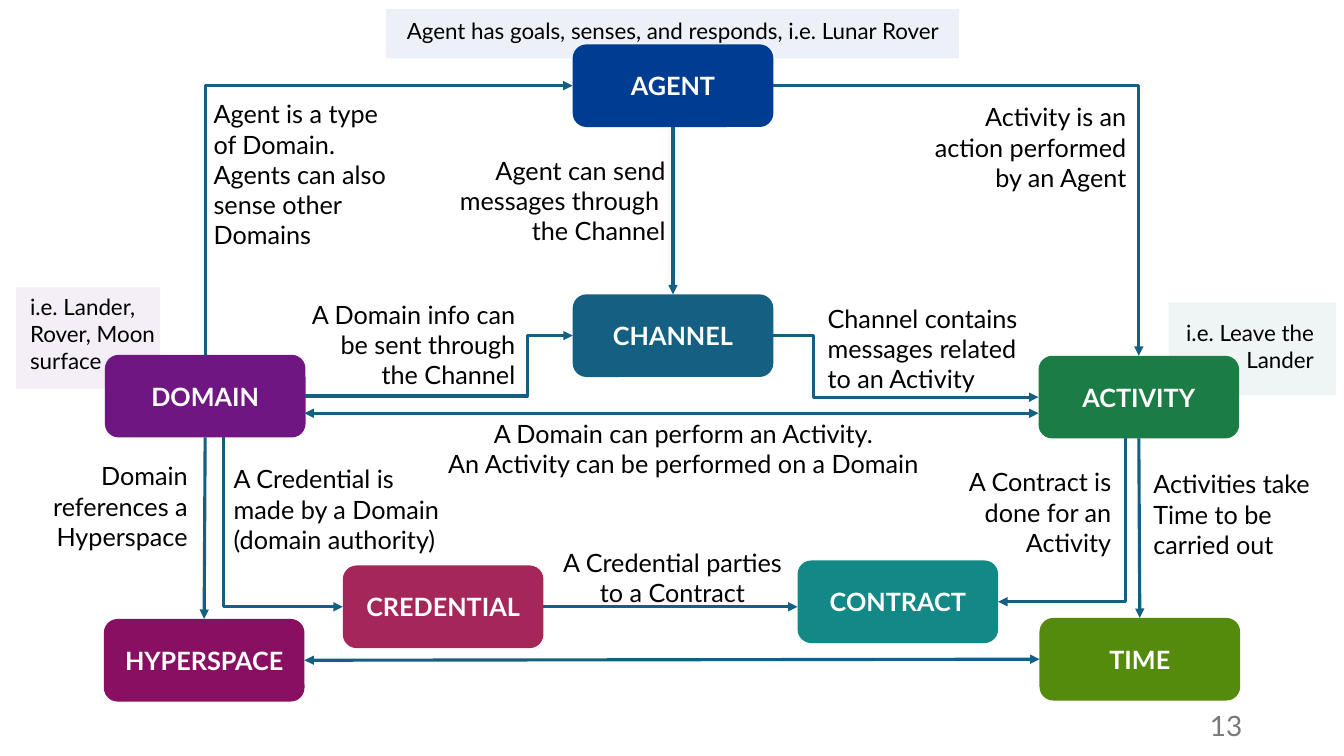
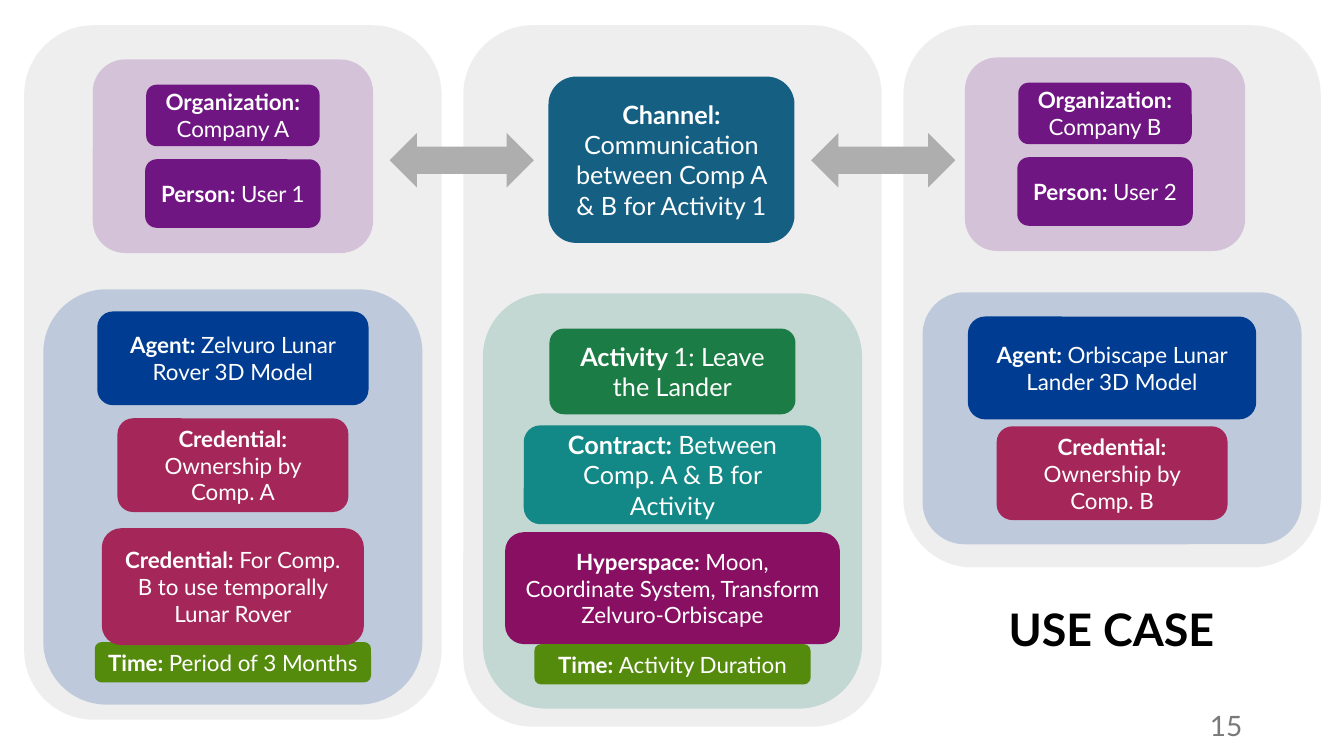
"""Build two slides: a domain relationship map and a lunar use case."""
from lxml.etree import SubElement
from pptx import Presentation
from pptx.dml.color import RGBColor
from pptx.enum.shapes import MSO_CONNECTOR, MSO_SHAPE
from pptx.enum.text import MSO_ANCHOR, MSO_AUTO_SIZE, PP_ALIGN
from pptx.oxml.ns import qn
from pptx.util import Inches, Pt

FONT = "Lato"
BLACK, WHITE, GRAY, NUMBER_GRAY = "000000", "FFFFFF", "AEAEAE", "797979"
PURPLE, BLUE, TEAL, GREEN = "701682", "003D92", "156082", "1C7C45"
LIME, SEA, PLUM, CRIMSON, MINT = "558B0D", "128986", "890F63", "A5275A", "1B7D6A"
LEFT, CENTER, RIGHT = PP_ALIGN.LEFT, PP_ALIGN.CENTER, PP_ALIGN.RIGHT
TOP_SIDE, LEFT_SIDE, BOTTOM_SIDE, RIGHT_SIDE = range(4)

NODE_SIZE = (1.99, 0.82)
NODES = {
    "ACTIVITY": (10.3, 3.53, GREEN),
    "CHANNEL": (5.68, 2.92, TEAL),
    "AGENT": (5.68, 0.44, BLUE),
    "DOMAIN": (1.04, 3.52, PURPLE),
    "TIME": (10.31, 6.13, LIME),
    "CONTRACT": (7.91, 5.56, SEA),
    "HYPERSPACE": (1.03, 6.14, PLUM),
    "CREDENTIAL": (3.4, 5.61, CRIMSON),
}
EXAMPLE_TINTS = [
    ((0.16, 2.85, 1.43, 1.01), PURPLE),
    ((11.59, 3, 1.66, 0.92), MINT),
    ((3.83, 0.09, 5.68, 0.49), BLUE),
]
EXAMPLES = [
    ((3.55, 0.12, 6.25, 0.37), CENTER, ["Agent has goals, senses, and responds, i.e. Lunar Rover"]),
    ((11.47, 3.12, 1.66, 0.64), RIGHT, ["i.e. Leave the Lander"]),
    ((0.2, 2.86, 1.69, 0.91), LEFT, ["i.e. Lander, Rover, Moon surface"]),
]
RELATIONS = [
    ((2.02, 0.93, 2.08, 1.31), LEFT, ["Agent is a type of Domain. Agents can also sense other Domains"]),
    ((9.16, 0.96, 2.11, 1.01), RIGHT, ["Activity is an action performed by an Agent"]),
    ((4.44, 1.49, 2.26, 1.01), RIGHT, ["Agent can send messages through ", "the Channel"]),
    ((8.11, 2.96, 2.31, 1.01), LEFT, ["Channel contains messages related to an Activity"]),
    ((4.31, 4.1, 5, 0.71), CENTER,
     ["A Domain can perform an Activity. ", "An Activity can be performed on a Domain "]),
    ((2.95, 2.92, 2.26, 1.01), RIGHT, ["A Domain info can be sent through the Channel"]),
    ((11.34, 4.6, 2.02, 1.01), LEFT, ["Activities take Time to be carried out"]),
    ((9.1, 4.58, 2.02, 1.01), RIGHT, ["A Contract is done for an Activity"]),
    ((2.22, 4.55, 2.3, 1.01), LEFT, ["A Credential is made by a Domain (domain authority)"]),
    ((5.48, 5.38, 2.38, 0.71), CENTER, ["A Credential parties to a Contract"]),
    ((0.09, 4.52, 1.87, 1.01), RIGHT, ["Domain references a Hyperspace"]),
]
HEAD, TAIL = "headEnd", "tailEnd"
STRAIGHT_LINKS = [
    (("HYPERSPACE", RIGHT_SIDE), ("TIME", LEFT_SIDE), (HEAD, TAIL)),
    (("DOMAIN", BOTTOM_SIDE), ("HYPERSPACE", TOP_SIDE), (TAIL,)),
    (("CREDENTIAL", RIGHT_SIDE), (7.91, 6.02), (TAIL,)),
    ((3.02, 4.1), (10.3, 4.1), (HEAD, TAIL)),
    (("ACTIVITY", BOTTOM_SIDE), ("TIME", TOP_SIDE), (TAIL,)),
    (("AGENT", BOTTOM_SIDE), ("CHANNEL", TOP_SIDE), (TAIL,)),
]
CORNER_LINKS = [
    (("AGENT", LEFT_SIDE), ("DOMAIN", TOP_SIDE), (HEAD,)),
    (("AGENT", RIGHT_SIDE), ("ACTIVITY", TOP_SIDE), (TAIL,)),
    (("CONTRACT", RIGHT_SIDE), (11.16, 4.35), (HEAD,)),
    (("CREDENTIAL", LEFT_SIDE), (2.22, 4.34), (HEAD,)),
]
STEP_LINKS = [
    (("CHANNEL", RIGHT_SIDE), ("ACTIVITY", LEFT_SIDE), (TAIL,), 0.15),
    (("DOMAIN", RIGHT_SIDE), ("CHANNEL", LEFT_SIDE), (TAIL,), 0.83),
]

BACKDROPS = [(6.67, 0.25, 4.15, 6.96), (11.03, 0.25, 4.14, 5.38), (2.31, 0.25, 4.14, 6.89)]
EXCHANGE_ARROWS = [(4.58, 1.32, 1.43, 0.54), (8.76, 1.32, 1.43, 0.54)]
CHANNEL_CARD = (0.76, 2.44, 1.65, TEAL, 18, "Channel: ",
                "Communication between Comp A & B for Activity 1")


def member_cards(top, company, user):
    """List the two cards of a company panel."""
    return [
        (top + 0.25, 1.72, 0.61, PURPLE, 16, "Organization: ", company),
        (top + 0.99, 1.74, 0.68, PURPLE, 16, "Person: ", user),
    ]


PANELS = [
    ((2.31, 0.59, 2.78, 1.92), PURPLE, member_cards(0.59, "Company A", "User 1")),
    ((2.31, 2.87, 3.76, 4.12), BLUE, [
        (3.09, 2.69, 0.93, BLUE, 16, "Agent: ", "Zelvuro Lunar Rover 3D Model"),
        (6.37, 2.74, 0.4, LIME, 16, "Time: ", "Period of 3 Months"),
        (5.24, 2.6, 1.16, CRIMSON, 16, "Credential: ", "For Comp. B to use temporally Lunar Rover"),
        (4.15, 2.29, 0.93, CRIMSON, 16, "Credential: ", "Ownership by Comp. A"),
    ]),
    ((6.67, 2.91, 3.76, 4.12), MINT, [
        (3.26, 2.44, 0.85, GREEN, 18, "Activity ", "1: Leave the Lander"),
        (5.28, 3.32, 1.11, PLUM, 16, "Hyperspace: ", "Moon, Coordinate System, Transform Zelvuro-Orbiscape"),
        (4.22, 2.95, 0.98, SEA, 18, "Contract: ", "Between Comp. A & B for Activity"),
        (6.39, 2.74, 0.4, LIME, 16, "Time: ", "Activity Duration"),
    ]),
    ((10.96, 0.57, 2.78, 1.92), PURPLE, member_cards(0.57, "Company B", "User 2")),
    ((11.03, 2.9, 3.76, 2.5), BLUE, [
        (3.14, 2.86, 1.02, BLUE, 16, "Agent: ", "Orbiscape Lunar Lander 3D Model"),
        (4.23, 2.29, 0.93, CRIMSON, 16, "Credential: ", "Ownership by Comp. B"),
    ]),
]


def color(value):
    """Turn a hex string into a colour."""
    return RGBColor.from_string(value)


def inches(values):
    """Turn numbers into lengths."""
    return [Inches(value) for value in values]


def centered(middle, top, width, height):
    """Return the area whose horizontal centre is given."""
    return middle - width / 2, top, width, height


def write(para, text, size, tone, bold=False):
    """Add one formatted run."""
    span = para.add_run()
    span.text = text
    span.font.name = FONT
    span.font.size = Pt(size)
    span.font.bold = bold
    span.font.color.rgb = color(tone)


def add_block(page, kind, area, fill, opacity=100):
    """Add a plain filled shape."""
    block = page.shapes.add_shape(kind, *inches(area))
    block.shadow.inherit = False
    block.fill.solid()
    block.fill.fore_color.rgb = color(fill)
    block.line.fill.background()
    if opacity < 100:
        tint = block.element.spPr.find(f".//{qn('a:srgbClr')}")
        SubElement(tint, qn("a:alpha"), val=str(opacity * 1000))
    return block


def add_card(page, area, fill, size, label, text=""):
    """Add a rounded box with a bold label and regular text."""
    card = add_block(page, MSO_SHAPE.ROUNDED_RECTANGLE, area, fill)
    card.text_frame.vertical_anchor = MSO_ANCHOR.MIDDLE
    para = card.text_frame.paragraphs[0]
    para.alignment = CENTER
    write(para, label, size, WHITE, True)
    if text:
        write(para, text, size, WHITE)
    return card


def add_text(page, area, align, lines, size, tone=BLACK, anchor=MSO_ANCHOR.TOP):
    """Add a wrapped text box with one paragraph per line."""
    box = page.shapes.add_textbox(*inches(area))
    frame = box.text_frame
    frame.word_wrap = True
    frame.vertical_anchor = anchor
    for index, line in enumerate(lines):
        para = frame.add_paragraph() if index else frame.paragraphs[0]
        para.alignment = align
        write(para, line, size, tone)


def add_page_number(page, number):
    """Add the page number in the footer."""
    add_text(page, (9.42, 7, 3, 0.4), RIGHT, [number], 20, NUMBER_GRAY, MSO_ANCHOR.MIDDLE)


def add_link(page, boxes, kind, start, end, arrows):
    """Draw a connector between points or box sides."""
    ends = [(0, 0) if point[0] in boxes else point for point in (start, end)]
    link = page.shapes.add_connector(kind, *inches(ends[0] + ends[1]))
    for point, join in ((start, link.begin_connect), (end, link.end_connect)):
        if point[0] in boxes:
            join(boxes[point[0]], point[1])
    link.line.color.rgb = color(TEAL)
    link.line.width = Pt(2.25)
    properties = link.element.spPr
    for arrow in arrows:
        SubElement(properties.find(qn("a:ln")), qn(f"a:{arrow}"), type="triangle")
    SubElement(properties, qn("a:effectLst"))
    return link


def build_relationship_map(deck):
    """Build the map of linked concepts."""
    page = deck.slides.add_slide(deck.slide_layouts[6])
    for area, fill in EXAMPLE_TINTS:
        add_block(page, MSO_SHAPE.RECTANGLE, area, fill, 7)
    add_page_number(page, "13")
    boxes = {name: add_card(page, (left, top, *NODE_SIZE), fill, 18, name)
             for name, (left, top, fill) in NODES.items()}
    for size, labels in ((16, EXAMPLES), (18, RELATIONS)):
        for area, align, lines in labels:
            add_text(page, area, align, lines, size)
    for link in STRAIGHT_LINKS:
        add_link(page, boxes, MSO_CONNECTOR.STRAIGHT, *link)
    for link in CORNER_LINKS:
        corner = add_link(page, boxes, MSO_CONNECTOR.ELBOW, *link)
        corner.element.spPr.find(qn("a:prstGeom")).set("prst", "bentConnector2")
    for *link, bend in STEP_LINKS:
        step = add_link(page, boxes, MSO_CONNECTOR.ELBOW, *link)
        guides = step.element.spPr.find(f".//{qn('a:avLst')}")
        SubElement(guides, qn("a:gd"), name="adj1", fmla=f"val {round(bend * 100000)}")


def build_use_case(deck):
    """Build the use case with its three columns."""
    page = deck.slides.add_slide(deck.slide_layouts[5])
    title = page.shapes.title
    title.left, title.top, title.width, title.height = inches((8.11, 5.8, 5.83, 0.94))
    frame = title.text_frame
    frame.auto_size = MSO_AUTO_SIZE.NONE
    frame.vertical_anchor = MSO_ANCHOR.MIDDLE
    para = frame.paragraphs[0]
    para.alignment = CENTER
    para.line_spacing = 0.9
    write(para, "USE CASE", 32, BLACK, True)
    for backdrop in BACKDROPS:
        add_block(page, MSO_SHAPE.ROUNDED_RECTANGLE, centered(*backdrop), GRAY, 20)
    add_page_number(page, "15")
    for panel, fill, cards in PANELS:
        add_block(page, MSO_SHAPE.ROUNDED_RECTANGLE, centered(*panel), fill, 20)
        for top, width, height, *content in cards:
            add_card(page, centered(panel[0], top, width, height), *content)
    top, width, height, *content = CHANNEL_CARD
    add_card(page, centered(6.66, top, width, height), *content)
    for arrow in EXCHANGE_ARROWS:
        add_block(page, MSO_SHAPE.LEFT_RIGHT_ARROW, centered(*arrow), GRAY)


def main():
    """Build and save the deck."""
    deck = Presentation()
    deck.slide_width, deck.slide_height = inches((13.33, 7.5))
    build_relationship_map(deck)
    build_use_case(deck)
    deck.save("out.pptx")


if __name__ == "__main__":
    main()
